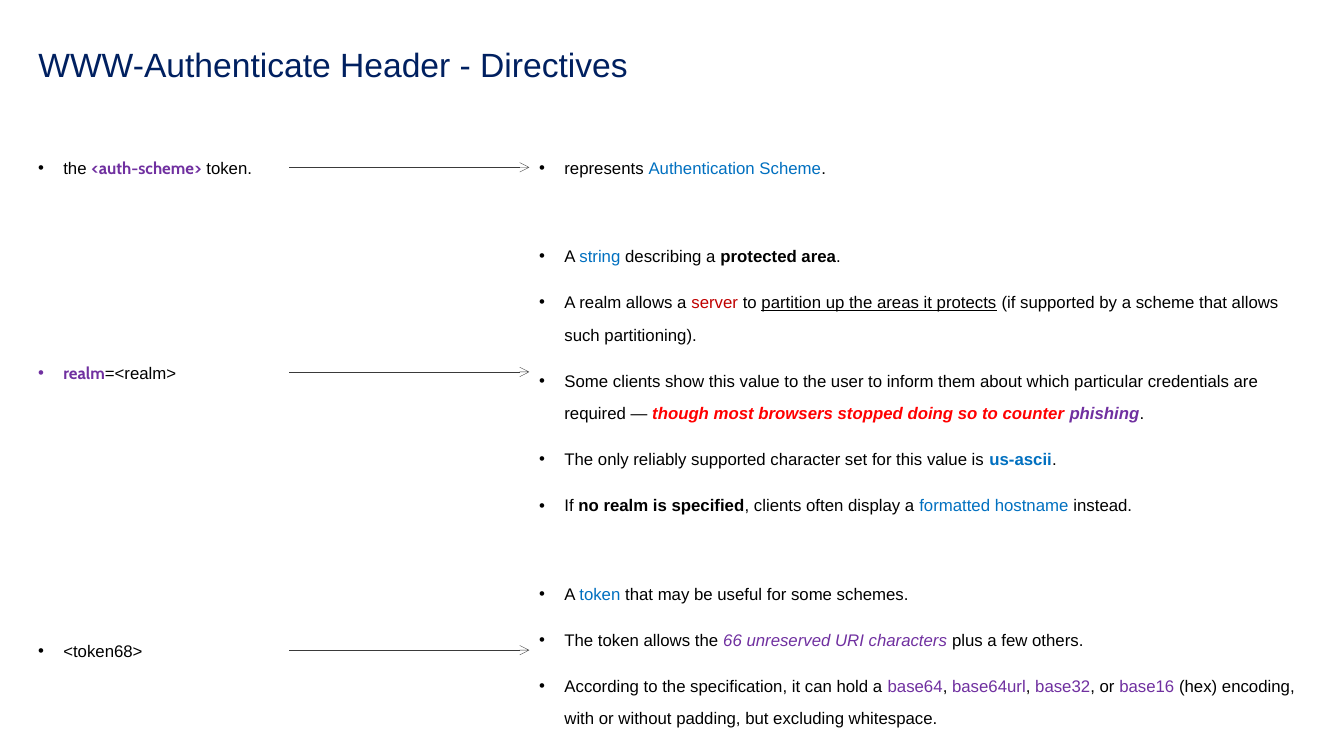
from lxml import etree
from pptx import Presentation
from pptx.dml.color import RGBColor
from pptx.enum.shapes import MSO_CONNECTOR
from pptx.enum.text import MSO_ANCHOR, MSO_AUTO_SIZE, PP_ALIGN
from pptx.oxml.ns import qn
from pptx.util import Inches, Pt

STRAIGHT = MSO_CONNECTOR.STRAIGHT
MIDDLE, TOP = MSO_ANCHOR.MIDDLE, MSO_ANCHOR.TOP
LEFT = PP_ALIGN.LEFT
NO_FIT = MSO_AUTO_SIZE.NONE

NAVY = RGBColor(0x00, 0x20, 0x60)
BLACK = RGBColor(0x00, 0x00, 0x00)
GREY = RGBColor(0x3A, 0x3A, 0x3A)
PURPLE = RGBColor(0x70, 0x30, 0xA0)
BLUE = RGBColor(0x00, 0x70, 0xC0)
DARK_RED = RGBColor(0xC0, 0x00, 0x00)
RED = RGBColor(0xFF, 0x00, 0x00)

# Run styles: font colour and emphasis
PLAIN = {}
KEYWORD = {"name": "Cabin", "color": PURPLE, "bold": True}
BOLD = {"bold": True}
UNDERLINED = {"underline": True}
IN_BLUE = {"color": BLUE}
IN_PURPLE = {"color": PURPLE}
IN_DARK_RED = {"color": DARK_RED}
BOLD_BLUE = {"color": BLUE, "bold": True}
ITALIC_PURPLE = {"color": PURPLE, "italic": True}
WARNING = {"color": RED, "bold": True, "italic": True}
WARNING_PURPLE = {"color": PURPLE, "bold": True, "italic": True}

# Columns and rows, in inches
TERM_LEFT, TERM_WIDTH = 0.28, 2.6
ARROW_LEFT = 2.87
MEANING_LEFT, MEANING_WIDTH = 5.25, 7.8
LINE_HEIGHT = 0.53

# Each directive: row centre, height of its meaning, term, paragraphs of meaning
DIRECTIVES = [
    (1.66, LINE_HEIGHT,
     [("the ", PLAIN), ("<auth-scheme>", KEYWORD), (" token.", PLAIN)],
     [[("represents ", PLAIN), ("Authentication Scheme", IN_BLUE), (".", PLAIN)]]),
    (3.69, 2.84,
     [("realm", KEYWORD), ("=<realm>", PLAIN)],
     [[("A ", PLAIN), ("string", IN_BLUE), (" describing a ", PLAIN),
       ("protected area", BOLD), (".", PLAIN)],
      [("A realm allows a ", PLAIN), ("server", IN_DARK_RED), (" to ", PLAIN),
       ("partition up the areas it protects", UNDERLINED),
       (" (if supported by a scheme that allows such partitioning).", PLAIN)],
      [("Some clients show this value to the user to inform them about which "
        "particular credentials are required —", PLAIN),
       (" though most browsers stopped doing so to counter ", WARNING),
       ("phishing", WARNING_PURPLE), (".", PLAIN)],
      [("The only reliably supported character set for this value is ", PLAIN),
       ("us-ascii", BOLD_BLUE), (".", PLAIN)],
      [("If ", PLAIN), ("no realm is specified", BOLD),
       (", clients often display a ", PLAIN),
       ("formatted hostname", IN_BLUE), (" instead.", PLAIN)]]),
    (6.45, 1.66,
     [("<token68>", PLAIN)],
     [[("A ", PLAIN), ("token", IN_BLUE),
       (" that may be useful for some schemes.", PLAIN)],
      [("The token allows the ", PLAIN),
       ("66 unreserved URI characters", ITALIC_PURPLE),
       (" plus a few others.", PLAIN)],
      [("According to the specification, it can hold a ", PLAIN),
       ("base64", IN_PURPLE), (", ", PLAIN), ("base64url", IN_PURPLE),
       (", ", PLAIN), ("base32", IN_PURPLE), (", or ", PLAIN),
       ("base16", IN_PURPLE),
       (" (hex) encoding, with or without padding, but excluding whitespace.",
        PLAIN)]]),
]


class DirectiveSlide:
    """Holds the text style and the slide being filled."""

    font_name = "Arial"
    title_size = Pt(24)
    body_size = Pt(12)
    indent = Inches(0.25)

    def __init__(self, presentation):
        self.slide = presentation.slides.add_slide(presentation.slide_layouts[5])

    def title(self, words, left, top, width, height):
        heading = self.slide.shapes.title
        heading.left, heading.top = Inches(left), Inches(top)
        heading.width, heading.height = Inches(width), Inches(height)
        frame = heading.text_frame
        frame.text = words
        frame.auto_size = NO_FIT
        frame.vertical_anchor = MIDDLE
        paragraph = frame.paragraphs[0]
        paragraph.alignment = LEFT
        paragraph.line_spacing = 0.9
        self.format_run(paragraph.runs[0], self.title_size, color=NAVY)

    def format_run(self, run, size, name=font_name, color=BLACK,
                   bold=False, italic=False, underline=False):
        font = run.font
        font.size, font.name = size, name
        font.color.rgb = color
        font.bold, font.italic, font.underline = bold, italic, underline

    def bullets(self, paragraphs, left, centre, width, height):
        box = self.slide.shapes.add_textbox(
            Inches(left), Inches(centre - height / 2), Inches(width), Inches(height))
        frame = box.text_frame
        frame.word_wrap = True
        frame.vertical_anchor = TOP
        for number, pieces in enumerate(paragraphs):
            paragraph = frame.add_paragraph() if number else frame.paragraphs[0]
            paragraph.line_spacing = 1.6
            paragraph.space_before = Pt(10)
            self.add_bullet(paragraph)
            for words, style in pieces:
                run = paragraph.add_run()
                run.text = words
                self.format_run(run, self.body_size, **style)

    def add_bullet(self, paragraph):
        properties = paragraph._p.get_or_add_pPr()
        properties.set("marL", str(self.indent))
        properties.set("indent", str(-self.indent))
        etree.SubElement(properties, qn("a:buFont"), typeface=self.font_name)
        etree.SubElement(properties, qn("a:buChar"), char="•")

    def arrow(self, start, end, height):
        connector = self.slide.shapes.add_connector(
            STRAIGHT, Inches(start), Inches(height), Inches(end), Inches(height))
        connector.line.color.rgb = GREY
        connector.line.width = Pt(0.25)
        etree.SubElement(connector.line._get_or_add_ln(), qn("a:tailEnd"), type="arrow")
        etree.SubElement(connector._element.spPr, qn("a:effectLst"))


def main():
    presentation = Presentation()
    presentation.slide_width = Inches(13.33)
    presentation.slide_height = Inches(7.5)
    page = DirectiveSlide(presentation)

    # Heading
    page.title("WWW-Authenticate Header - Directives", 0.28, 0.4, 12.86, 0.53)

    # Term, arrow and meaning of each directive
    for centre, meaning_height, term, meaning in DIRECTIVES:
        page.bullets([term], TERM_LEFT, centre, TERM_WIDTH, LINE_HEIGHT)
        page.arrow(ARROW_LEFT, MEANING_LEFT, centre)
        page.bullets(meaning, MEANING_LEFT, centre, MEANING_WIDTH, meaning_height)

    presentation.save("out.pptx")


if __name__ == "__main__":
    main()
